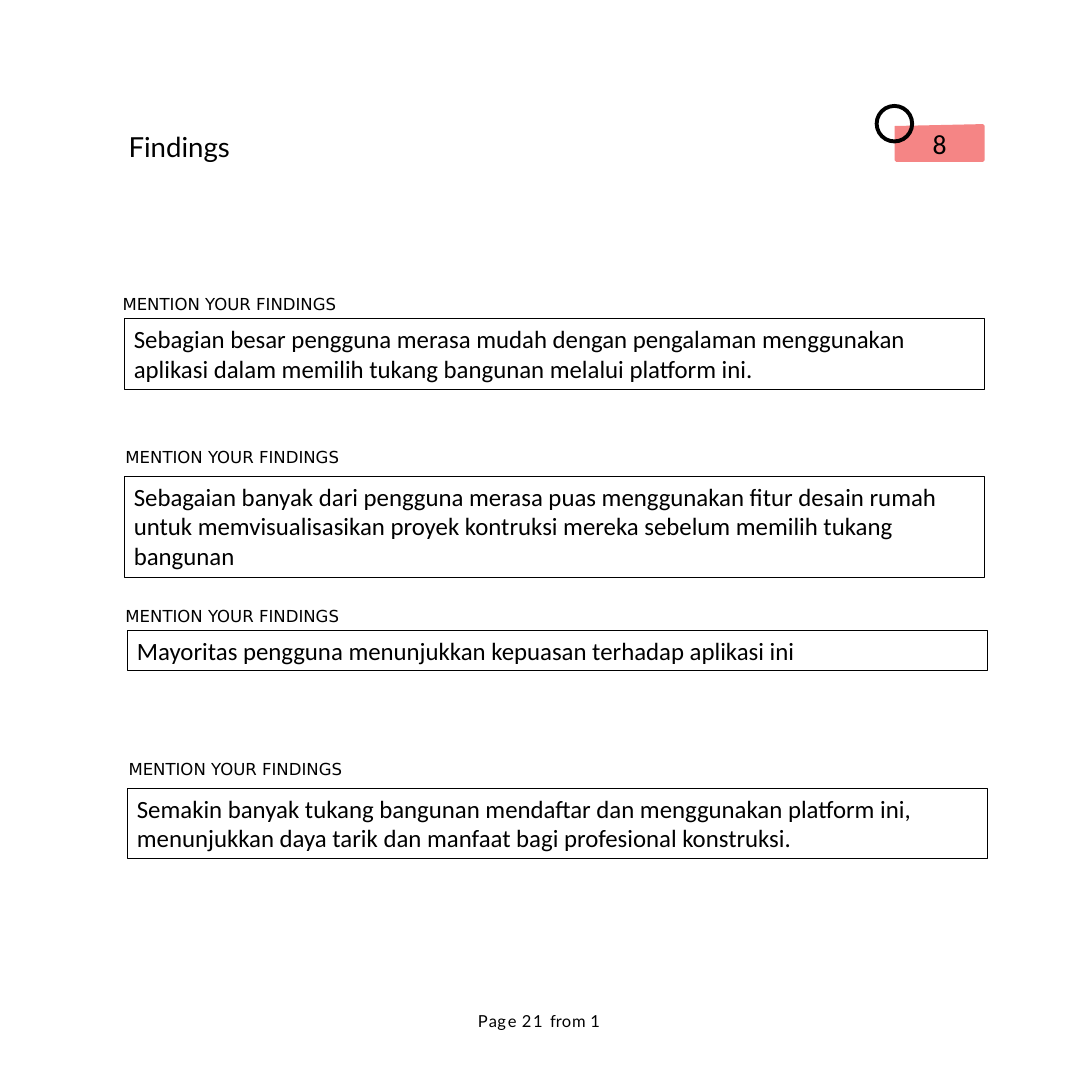
from lxml import etree
from pptx import Presentation
from pptx.dml.color import RGBColor
from pptx.enum import shapes, text
from pptx.oxml import ns
from pptx.util import Pt

COLORS = {"ink": "000000", "tag": "F58585"}
LABEL = "MENTION YOUR FINDINGS"
BOX_WIDTH = 624.2
LINE_HEIGHT = 22
BOX_PADDING = 7.2

# Label left and top, box left and top, number of lines, finding
FINDINGS = [
    (87.9, 211, 90, 231.2, 2,
     "Sebagian besar pengguna merasa mudah dengan pengalaman menggunakan "
     "aplikasi dalam memilih tukang bangunan melalui platform ini."),
    (90, 322.5, 90, 345.6, 3,
     "Sebagaian banyak dari pengguna merasa puas menggunakan fitur desain rumah "
     "untuk memvisualisasikan proyek kontruksi mereka sebelum memilih tukang bangunan"),
    (90, 437.2, 92.2, 457.4, 1,
     "Mayoritas pengguna menunjukkan kepuasan terhadap aplikasi ini"),
    (92.2, 548.6, 92.2, 571.8, 2,
     "Semakin banyak tukang bangunan mendaftar dan menggunakan platform ini, "
     "menunjukkan daya tarik dan manfaat bagi profesional konstruksi."),
]

# Text and letter spacing in points
PAGE_RUNS = [("P", 0.7), ("a", 0.2), ("g", 1.4), ("e ", 0.4), ("21 ", 1.2),
             ("fr", -0.1), ("o", 0.7), ("m", 1.1), (" 1", -0.9)]


def color(name):
    return RGBColor.from_string(COLORS[name])


def set_frame(frame, insets=None, anchor=text.MSO_ANCHOR.TOP):
    """Insets are left, top, right, bottom; None keeps the default ones."""
    frame.word_wrap = True
    frame.auto_size = text.MSO_AUTO_SIZE.NONE
    frame.vertical_anchor = anchor
    if insets:
        (frame.margin_left, frame.margin_top,
         frame.margin_right, frame.margin_bottom) = map(Pt, insets)


def add_text(paragraph, content, font, size, align=text.PP_ALIGN.LEFT,
             spacing=0, underline=None):
    paragraph.alignment = align
    run = paragraph.add_run()
    run.text = content
    run.font.name = font
    run.font.size = Pt(size)
    run.font.underline = underline
    run.font.color.rgb = color("ink")
    if spacing:
        run.font._element.set("spc", str(round(spacing * 100)))


def add_text_area(slide, left, top, width, height, insets):
    area = slide.shapes.add_textbox(Pt(left), Pt(top), Pt(width), Pt(height))
    set_frame(area.text_frame, insets)
    return area.text_frame.paragraphs[0]


def paint(shape, fill):
    shape.shadow.inherit = False
    shape.fill.solid()
    shape.fill.fore_color.rgb = color(fill)
    shape.line.fill.background()


def set_title(slide):
    title = slide.shapes.title
    title.left, title.top, title.width, title.height = map(Pt, (92.2, 92.2, 283, 25.2))
    set_frame(title.text_frame, (1, 2, 0, 0))
    add_text(title.text_frame.paragraphs[0], "Findings", "Lato", 20)


def add_number_tag(slide):
    outline = [(648.8, 116.2), (648.8, 91.4), (713, 90), (714.2, 91.2),
               (714.2, 116.2), (713, 117.4), (650, 117.4)]
    corners = [(Pt(x), Pt(y)) for x, y in outline]
    builder = slide.shapes.build_freeform(*corners[0])
    builder.add_line_segments(corners[1:])
    tag = builder.convert_to_shape()
    paint(tag, "tag")
    set_frame(tag.text_frame, (0, 0, 0, 0), text.MSO_ANCHOR.MIDDLE)
    add_text(tag.text_frame.paragraphs[0], "8", "Calibri", 20, text.PP_ALIGN.CENTER)

    ring = slide.shapes.add_shape(shapes.MSO_SHAPE.DONUT,
                                  Pt(634.4), Pt(75.4), Pt(28.6), Pt(28.6))
    ring.adjustments[0] = 0.1
    paint(ring, "ink")


def add_finding(slide, label_left, label_top, left, top, lines, finding):
    label = add_text_area(slide, label_left, label_top, 165, 16, (1, 2, 0, 0))
    add_text(label, LABEL, "DejaVu Sans", 12)

    box = slide.shapes.add_shape(shapes.MSO_SHAPE.RECTANGLE, Pt(left), Pt(top),
                                 Pt(BOX_WIDTH), Pt(BOX_PADDING + LINE_HEIGHT * lines))
    box.shadow.inherit = False
    box.fill.background()
    box.line.color.rgb = color("ink")
    box.line.width = Pt(0.75)
    set_frame(box.text_frame)
    add_text(box.text_frame.paragraphs[0], finding, "Calibri", 18)


def add_page_number(slide):
    page = add_text_area(slide, 345.6, 733.7, 101.5, 14.4, (1, 0, 0, 0))
    page.line_spacing = Pt(14.1)
    tabs = etree.SubElement(page._p.get_or_add_pPr(), ns.qn("a:tabLst"))
    etree.SubElement(tabs, ns.qn("a:tab"), pos=str(Pt(97.2)), algn="l")
    for content, spacing in PAGE_RUNS:
        add_text(page, content, "Lato", 12, spacing=spacing)
    add_text(page, "\t", "Times New Roman", 12, underline=True)


def main():
    deck = Presentation()
    deck.slide_width = deck.slide_height = Pt(792)
    slide = deck.slides.add_slide(deck.slide_layouts.get_by_name("Title Only"))
    set_title(slide)
    add_number_tag(slide)
    for finding in FINDINGS:
        add_finding(slide, *finding)
    add_page_number(slide)
    deck.save("out.pptx")


if __name__ == "__main__":
    main()
